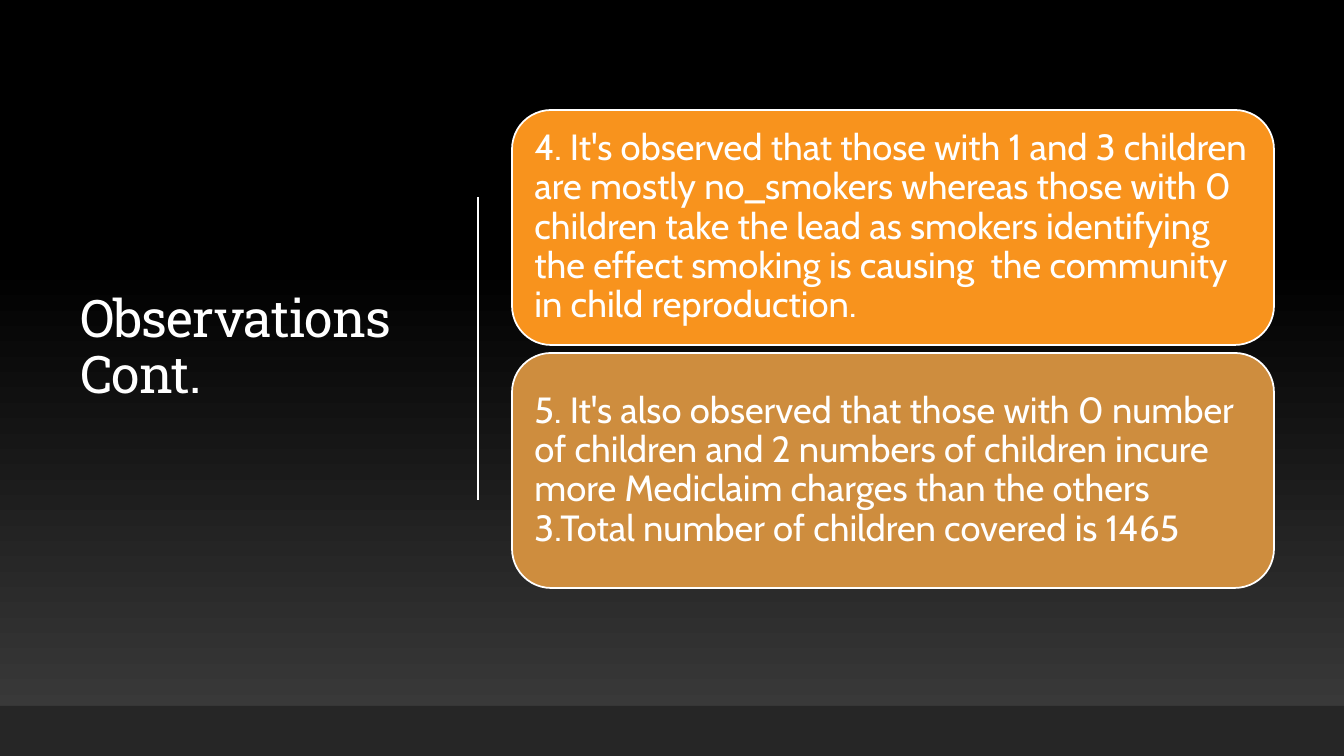
from dataclasses import dataclass

import pptx
import pptx.dml.color
import pptx.enum.shapes
import pptx.enum.text
import pptx.oxml
import pptx.oxml.ns
import pptx.util


@dataclass(frozen=True)
class Theme:
    white: str = "FFFFFF"
    black: str = "000000"
    glow: str = "3F3F3F"
    footer: str = "262626"
    title_font: str = "Roboto Slab"
    body_font: str = "Cabin"
    title_size: int = 37
    body_size: int = 26


@dataclass(frozen=True)
class Box:
    left: int
    top: int
    width: int
    height: int


@dataclass(frozen=True)
class Card:
    text: str
    fill: str


THEME = Theme()
EMU_PER_PX = 914400 / 100.8
SLIDE_WIDTH, SLIDE_HEIGHT = 1344, 756
FIRST_CARD = Box(512, 110, 762, 235)
CARD_GAP = 8
CARD_MARGIN = 11
CARDS = [
    Card(
        "4. It's observed that those with 1 and 3 children are mostly no_smokers "
        "whereas those with 0 children take the lead as smokers identifying the "
        "effect smoking is causing  the community in child reproduction.",
        "F8931D",
    ),
    Card(
        "5. It's also observed that those with 0 number of children and 2 numbers "
        "of children incure more Mediclaim charges than the others 3.Total number "
        "of children covered is 1465",
        "CE8D3E",
    ),
]


def px(value: int) -> pptx.util.Emu:
    return pptx.util.Emu(round(value * EMU_PER_PX))


def rgb(value: str) -> pptx.dml.color.RGBColor:
    return pptx.dml.color.RGBColor.from_string(value)


def place(shape, box: Box) -> None:
    shape.left, shape.top = px(box.left), px(box.top)
    shape.width, shape.height = px(box.width), px(box.height)


def write_text(shape, text: str, *, font: str, size: int,
               margin: int = 10, tracking: int = 0) -> None:
    frame = shape.text_frame
    frame.text = text
    frame.word_wrap = True
    frame.auto_size = pptx.enum.text.MSO_AUTO_SIZE.NONE
    frame.vertical_anchor = pptx.enum.text.MSO_ANCHOR.MIDDLE
    frame.margin_left = frame.margin_right = px(margin)
    frame.margin_top = frame.margin_bottom = px(margin)
    paragraph = frame.paragraphs[0]
    paragraph.alignment = pptx.enum.text.PP_ALIGN.LEFT
    paragraph.line_spacing = 0.9
    run = paragraph.runs[0]
    run.font.name = font
    run.font.size = pptx.util.Pt(size)
    run.font.color.rgb = rgb(THEME.white)
    if tracking:
        run.font._element.set("spc", str(tracking))


def add_panel(slide, kind, box: Box, fill: str, outlined: bool = False):
    shape = slide.shapes.add_shape(kind, 0, 0, 0, 0)
    place(shape, box)
    shape.shadow.inherit = False
    shape.fill.solid()
    shape.fill.fore_color.rgb = rgb(fill)
    if outlined:
        shape.line.color.rgb = rgb(THEME.white)
        shape.line.width = pptx.util.Pt(1.25)
    else:
        shape.line.fill.background()
    return shape


def add_divider(slide, x: int, top: int, bottom: int) -> None:
    line = slide.shapes.add_connector(
        pptx.enum.shapes.MSO_CONNECTOR.STRAIGHT, px(x), px(top), px(x), px(bottom))
    line.line.color.rgb = rgb(THEME.white)
    line.line.width = pptx.util.Pt(1)
    line._element.spPr.append(
        pptx.oxml.parse_xml(f'<a:effectLst {pptx.oxml.ns.nsdecls("a")}/>'))


def paint_background(slide) -> None:
    fill = slide.background.fill
    fill.gradient()
    fill.gradient_angle = 90
    for stop, (position, color) in zip(
            fill.gradient_stops, [(0, THEME.glow), (0.65, THEME.black)]):
        stop.position = position
        stop.color.rgb = rgb(color)


def main() -> None:
    presentation = pptx.Presentation()
    presentation.slide_width = px(SLIDE_WIDTH)
    presentation.slide_height = px(SLIDE_HEIGHT)
    slide = presentation.slides.add_slide(presentation.slide_layouts[5])
    paint_background(slide)

    # Title and divider
    title = slide.shapes.title
    place(title, Box(70, 70, 372, 557))
    write_text(title, "Observations Cont.", font=THEME.title_font,
               size=THEME.title_size, tracking=-50)
    add_divider(slide, 478, 197, 500)

    # Footer band
    shape_kinds = pptx.enum.shapes.MSO_SHAPE
    add_panel(slide, shape_kinds.RECTANGLE,
              Box(0, 706, SLIDE_WIDTH, SLIDE_HEIGHT - 706), THEME.footer)

    # Observation cards
    for index, card in enumerate(CARDS):
        top = FIRST_CARD.top + index * (FIRST_CARD.height + CARD_GAP)
        box = Box(FIRST_CARD.left, top, FIRST_CARD.width, FIRST_CARD.height)
        shape = add_panel(slide, shape_kinds.ROUNDED_RECTANGLE, box, card.fill,
                          outlined=True)
        write_text(shape, card.text, font=THEME.body_font, size=THEME.body_size,
                   margin=CARD_MARGIN)

    presentation.save("out.pptx")


if __name__ == "__main__":
    main()
